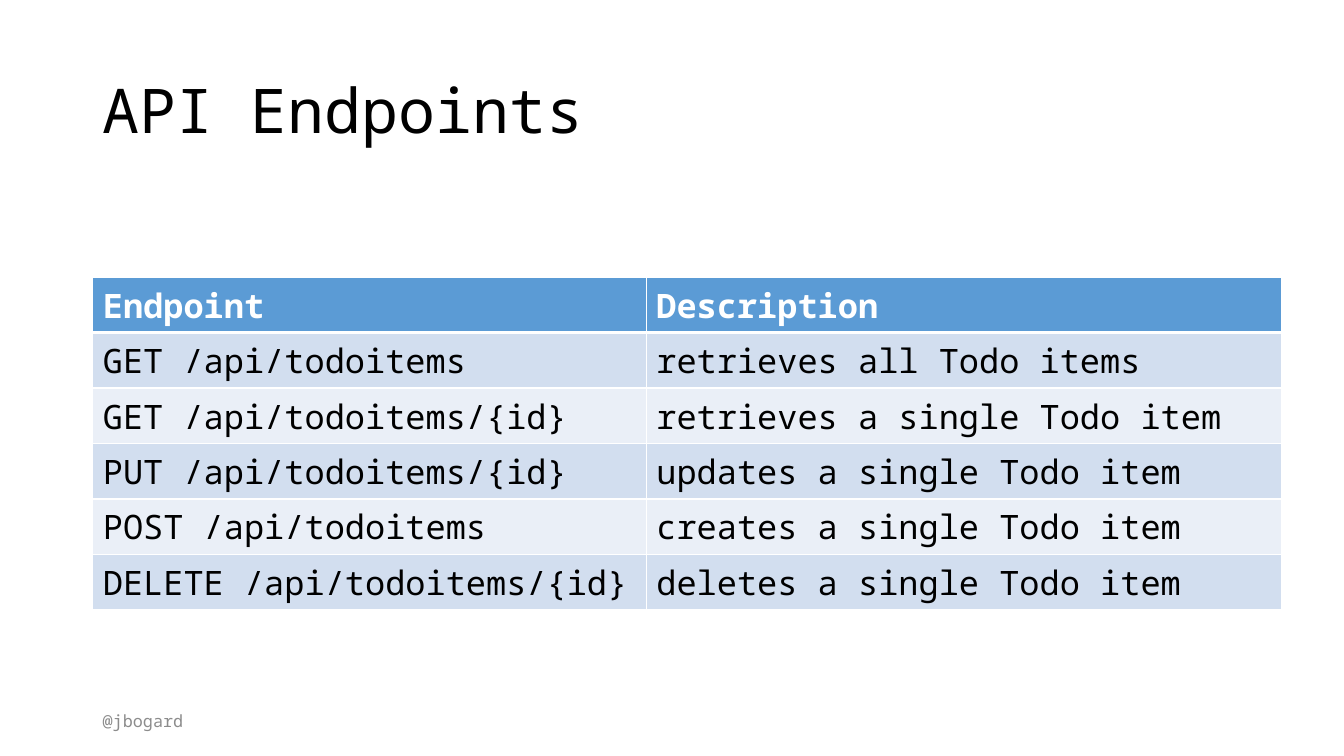
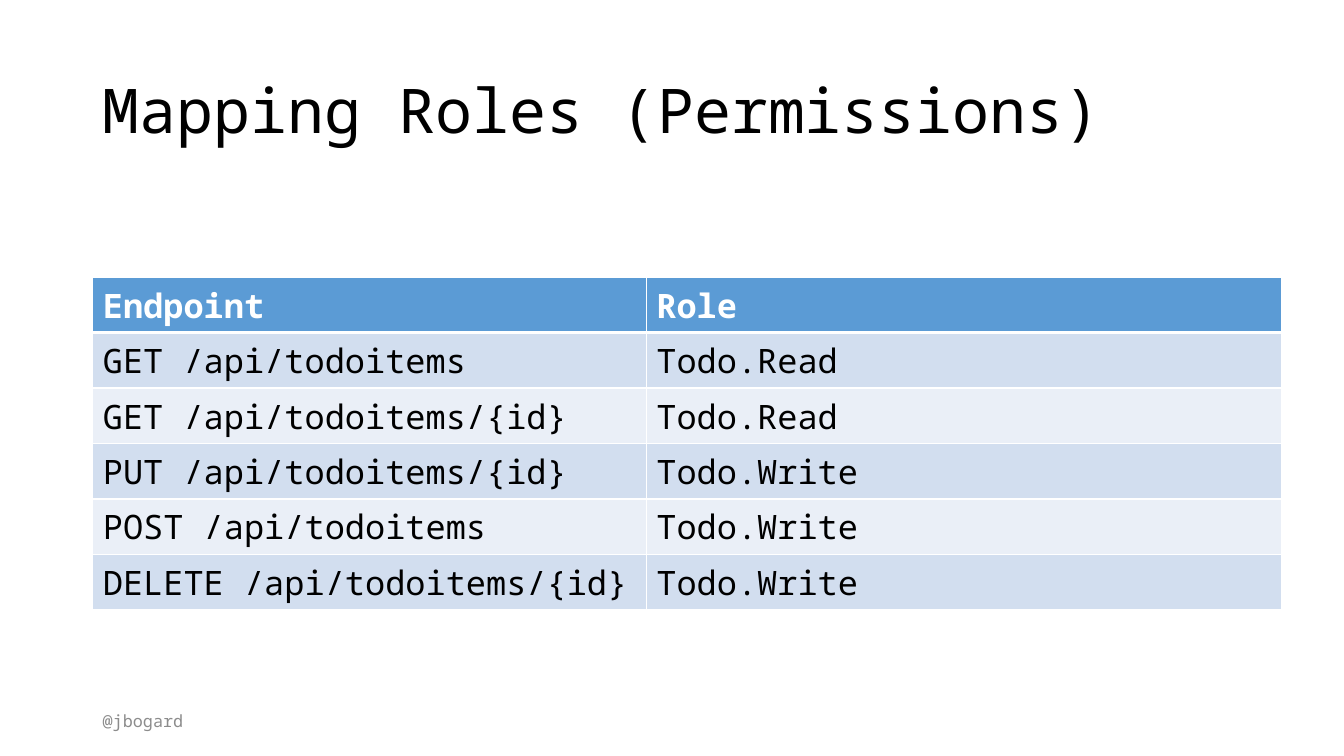
from dataclasses import dataclass

from lxml.etree import SubElement
from pptx import Presentation
from pptx.dml.color import RGBColor
from pptx.enum.text import MSO_ANCHOR
from pptx.oxml.ns import qn
from pptx.util import Inches, Pt


@dataclass(frozen=True)
class Theme:
    font: str = "Noto Sans Mono"
    text: str = "000000"
    muted: str = "8C8C8C"
    white: str = "FFFFFF"
    header: str = "5B9BD5"
    bands: tuple = ("D2DEEF", "EAEFF7")
    title_size: int = 44
    table_size: int = 24
    footer_size: int = 12
    rule: int = 1
    header_rule: int = 3


THEME = Theme()
LEFT = 0.92
TITLE_BOX = (LEFT, 0.4, 11.5, 1.45)
FOOTER_BOX = (LEFT, 6.95, 3, 0.4)
TABLE_AT = (LEFT, 2.75)
COLUMN_WIDTHS = (5.49, 6.3)
ROW_HEIGHT = 0.55

FOOTER = "@jbogard"
ENDPOINTS = (
    "GET /api/todoitems",
    "GET /api/todoitems/{id}",
    "PUT /api/todoitems/{id}",
    "POST /api/todoitems",
    "DELETE /api/todoitems/{id}",
)
SLIDES = (
    ("API Endpoints", "Description", (
        "retrieves all Todo items",
        "retrieves a single Todo item",
        "updates a single Todo item",
        "creates a single Todo item",
        "deletes a single Todo item",
    )),
    ("Mapping Roles (Permissions)", "Role",
     ("Todo.Read",) * 2 + ("Todo.Write",) * 3),
)


def write(tf, text, size, color, bold=False):
    r = tf.paragraphs[0].add_run()
    r.text = text
    formats = {"name": THEME.font, "size": Pt(size), "bold": bold}
    for name, value in formats.items():
        setattr(r.font, name, value)
    r.font.color.rgb = RGBColor.from_string(color)


def add_text(s, box, text, size, color, line_spacing=None):
    tf = s.shapes.add_textbox(*map(Inches, box)).text_frame
    tf.word_wrap = True
    tf.vertical_anchor = MSO_ANCHOR.MIDDLE
    tf.paragraphs[0].line_spacing = line_spacing
    write(tf, text, size, color)


def set_borders(cell, top, bottom):
    """Draw white rules on all four sides; top and bottom are in points."""
    tcPr = cell._tc.get_or_add_tcPr()
    widths = {"lnL": THEME.rule, "lnR": THEME.rule, "lnT": top, "lnB": bottom}
    for side, width in widths.items():
        ln = SubElement(tcPr, qn(f"a:{side}"), w=str(Pt(width)))
        fill = SubElement(ln, qn("a:solidFill"))
        SubElement(fill, qn("a:srgbClr"), val=THEME.white)


def add_endpoint_table(s, at, rows):
    """Place a table whose first row is the header."""
    size = (sum(COLUMN_WIDTHS), ROW_HEIGHT * len(rows))
    table = s.shapes.add_table(
        len(rows), len(COLUMN_WIDTHS), *map(Inches, at + size)).table
    for column, width in zip(table.columns, COLUMN_WIDTHS):
        column.width = Inches(width)
    for i, values in enumerate(rows):
        is_header = i == 0
        fill = THEME.header if is_header else THEME.bands[(i - 1) % 2]
        color = THEME.white if is_header else THEME.text
        top = THEME.header_rule if i == 1 else THEME.rule
        bottom = THEME.header_rule if is_header else THEME.rule
        for cell, value in zip(table.rows[i].cells, values):
            set_borders(cell, top, bottom)
            cell.fill.solid()
            cell.fill.fore_color.rgb = RGBColor.from_string(fill)
            write(cell.text_frame, value, THEME.table_size, color, is_header)


def add_endpoint_slide(prs, title, heading, values):
    s = prs.slides.add_slide(prs.slide_layouts[6])
    add_text(s, TITLE_BOX, title, THEME.title_size, THEME.text, 0.9)
    rows = [("Endpoint", heading), *zip(ENDPOINTS, values)]
    add_endpoint_table(s, TABLE_AT, rows)
    add_text(s, FOOTER_BOX, FOOTER, THEME.footer_size, THEME.muted)


def main():
    prs = Presentation()
    prs.slide_width, prs.slide_height = Inches(13.33), Inches(7.5)
    for content in SLIDES:
        add_endpoint_slide(prs, *content)
    prs.save("out.pptx")


if __name__ == "__main__":
    main()
